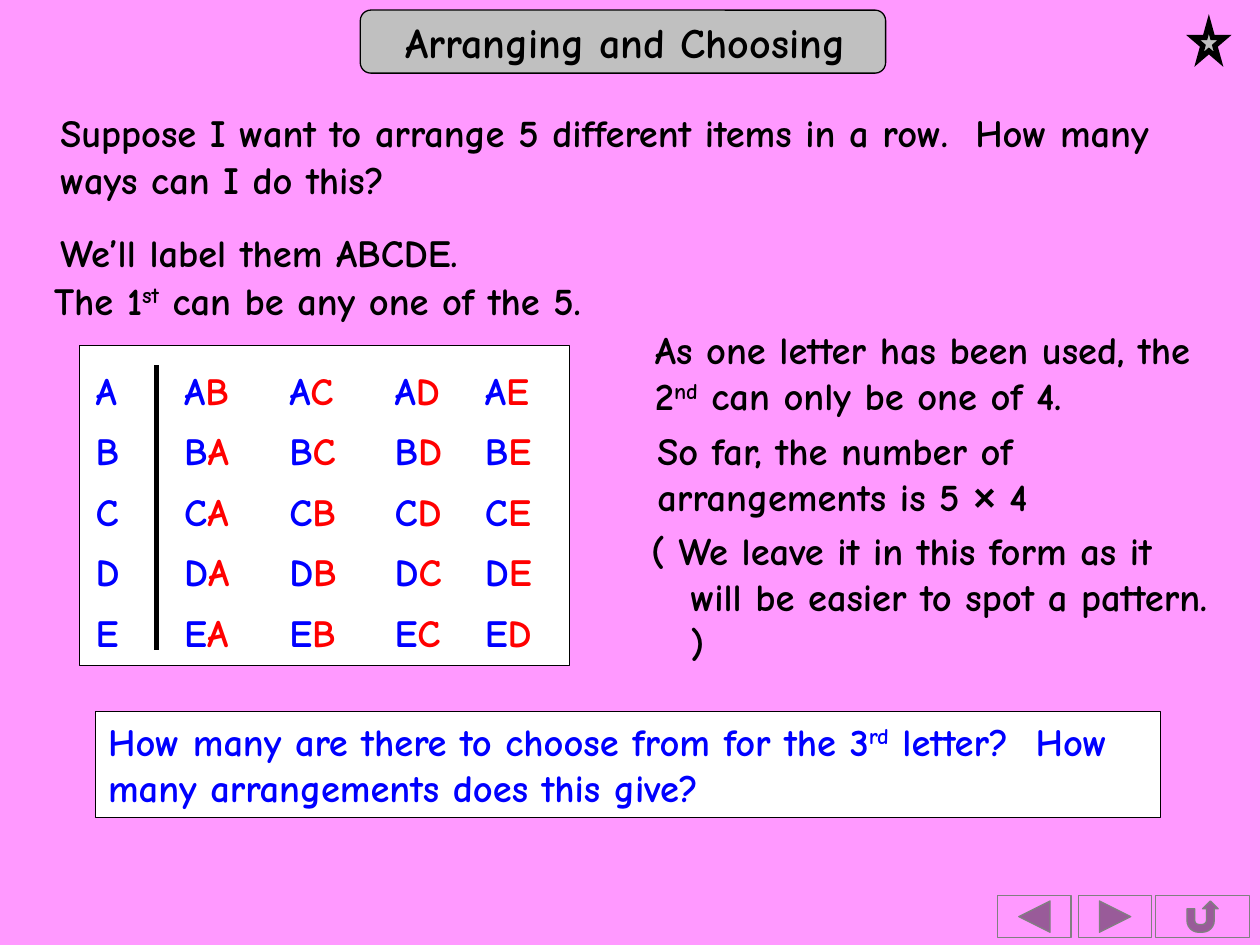
from lxml.etree import SubElement
from pptx import Presentation
from pptx.dml.color import RGBColor
from pptx.enum.shapes import MSO_CONNECTOR, MSO_SHAPE
from pptx.enum.text import MSO_ANCHOR, PP_ALIGN
from pptx.oxml.ns import qn
from pptx.util import Pt

FONT = "Comic Neue"
BLACK, BLUE, RED, WHITE = "000000", "0000FF", "FF0000", "FFFFFF"
PINK, SILVER, GREY = "FF99FF", "C0C0C0", "808080"

TITLE = "Arranging and Choosing"
# A run is its text, or (text, style) with style "sup" or a font name.
# left, top, width, height, runs
NOTES = [
    (27.4, 59, 640, 60.5, ["Suppose I want to arrange 5 different items in a row.  "
                           "How many ways can I do this?"]),
    (27.4, 127.4, 286.6, 33.8, ["We’ll label them ABCDE."]),
    (23.8, 154.8, 410, 33.8, ["The 1", ("st", "sup"), " can be any one of the 5."]),
    (367.2, 182.9, 331.2, 60.5, ["As one letter has been used, the 2", ("nd", "sup"),
                                 " can only be one of 4."]),
    (368.6, 240.5, 288, 60.5, ["So far, the number of arrangements is 5 ",
                               ("×", "Arial"), " 4"]),
]
ASIDE = "( We leave it in this form as it will be easier to spot a pattern. )"
QUESTION = ["How many are there to choose from for the 3", ("rd", "sup"),
            " letter?  How many arrangements does this give?"]

LETTERS = "ABCDE"
FIRST_LEFT, PAIR_LEFTS = 47.5, [98.2, 158.2, 218.4, 270]
ROW_TOP, ROW_STEP = 206.2, 34.5

BUTTONS = [  # shape, left, width
    (MSO_SHAPE.ACTION_BUTTON_BACK_OR_PREVIOUS, 570.2, 41.8),
    (MSO_SHAPE.ACTION_BUTTON_FORWARD_OR_NEXT, 616.3, 41.8),
    (MSO_SHAPE.ACTION_BUTTON_RETURN, 660.5, 53.4),
]


def rgb(value):
    return RGBColor.from_string(value)


def add_shape(kind, x, y, w, h, fill, line=BLACK, weight=0.75):
    sp = s.shapes.add_shape(kind, Pt(x), Pt(y), Pt(w), Pt(h))
    sp.shadow.inherit = False
    sp.fill.solid()
    sp.fill.fore_color.rgb = rgb(fill)
    sp.line.color.rgb = rgb(line)
    sp.line.width = Pt(weight)
    return sp


def add_run(p, text, color=BLACK, size=22, style=None):
    r = p.add_run()
    r.text = text
    r.font.name = FONT if style in (None, "sup") else style
    r.font.size = Pt(size)
    r.font.bold = True
    r.font.color.rgb = rgb(color)
    if style == "sup":
        r.font._element.set("baseline", "30000")


def write(sp, runs, color=BLACK):
    tf = sp.text_frame
    tf.word_wrap = True
    tf.vertical_anchor = MSO_ANCHOR.TOP
    p = tf.paragraphs[0]
    p.alignment = PP_ALIGN.LEFT
    for run in runs:
        text, style = (run, None) if isinstance(run, str) else run
        add_run(p, text, color, style=style)
    return p


def add_text(x, y, w, h, runs, color=BLACK):
    return write(s.shapes.add_textbox(Pt(x), Pt(y), Pt(w), Pt(h)), runs, color)


prs = Presentation()
prs.slide_width, prs.slide_height = Pt(720), Pt(540)
s = prs.slides.add_slide(prs.slide_layouts[5])
s.background.fill.solid()
s.background.fill.fore_color.rgb = rgb(PINK)

# Title on its rounded plate
plate = add_shape(MSO_SHAPE.ROUNDED_RECTANGLE, 205.9, 5.8, 300.2, 36, SILVER)
title = s.shapes.title
plate.element.addnext(title.element)
title.left, title.top, title.width, title.height = Pt(199.4), Pt(5.8), Pt(316), Pt(36)
title.text_frame.vertical_anchor = MSO_ANCHOR.MIDDLE
title.text_frame.paragraphs[0].alignment = PP_ALIGN.CENTER
add_run(title.text_frame.paragraphs[0], TITLE, size=24)

for kind, left, width in BUTTONS:
    add_shape(kind, left, 511.9, width, 23.8, PINK, GREY)

for note in NOTES:
    add_text(*note)

# Arrangements: first letter, divider, then each possible pair
add_shape(MSO_SHAPE.RECTANGLE, 45.4, 197.3, 280.1, 182.9, WHITE)
divider = s.shapes.add_connector(MSO_CONNECTOR.STRAIGHT, Pt(89.3), Pt(208.8), Pt(89.3), Pt(371.5))
divider.line.color.rgb = rgb(BLACK)
divider.line.width = Pt(3)
SubElement(divider._element.spPr, qn("a:effectLst"))
for row, first in enumerate(LETTERS):
    top = ROW_TOP + row * ROW_STEP
    add_text(FIRST_LEFT, top, 38, 33.8, [first], BLUE)
    for left, second in zip(PAIR_LEFTS, LETTERS.replace(first, "")):
        p = add_text(left, top, 46.8, 33.8, [first], BLUE)
        add_run(p, second, RED)

question = add_shape(MSO_SHAPE.RECTANGLE, 54.7, 406.8, 608.4, 60.5, WHITE)
write(question, QUESTION, BLUE)

aside = add_text(365, 297.4, 334.8, 86.4, [ASIDE])
aside_props = aside._p.get_or_add_pPr()
aside_props.set("marL", str(Pt(22.5)))
aside_props.set("indent", str(Pt(-22.5)))

star = add_shape(MSO_SHAPE.STAR_5_POINT, 681.8, 13.7, 18, 20.2, SILVER, weight=3)
SubElement(star.line._get_or_add_ln(), qn("a:miter"), lim="800000")

prs.save("out.pptx")
